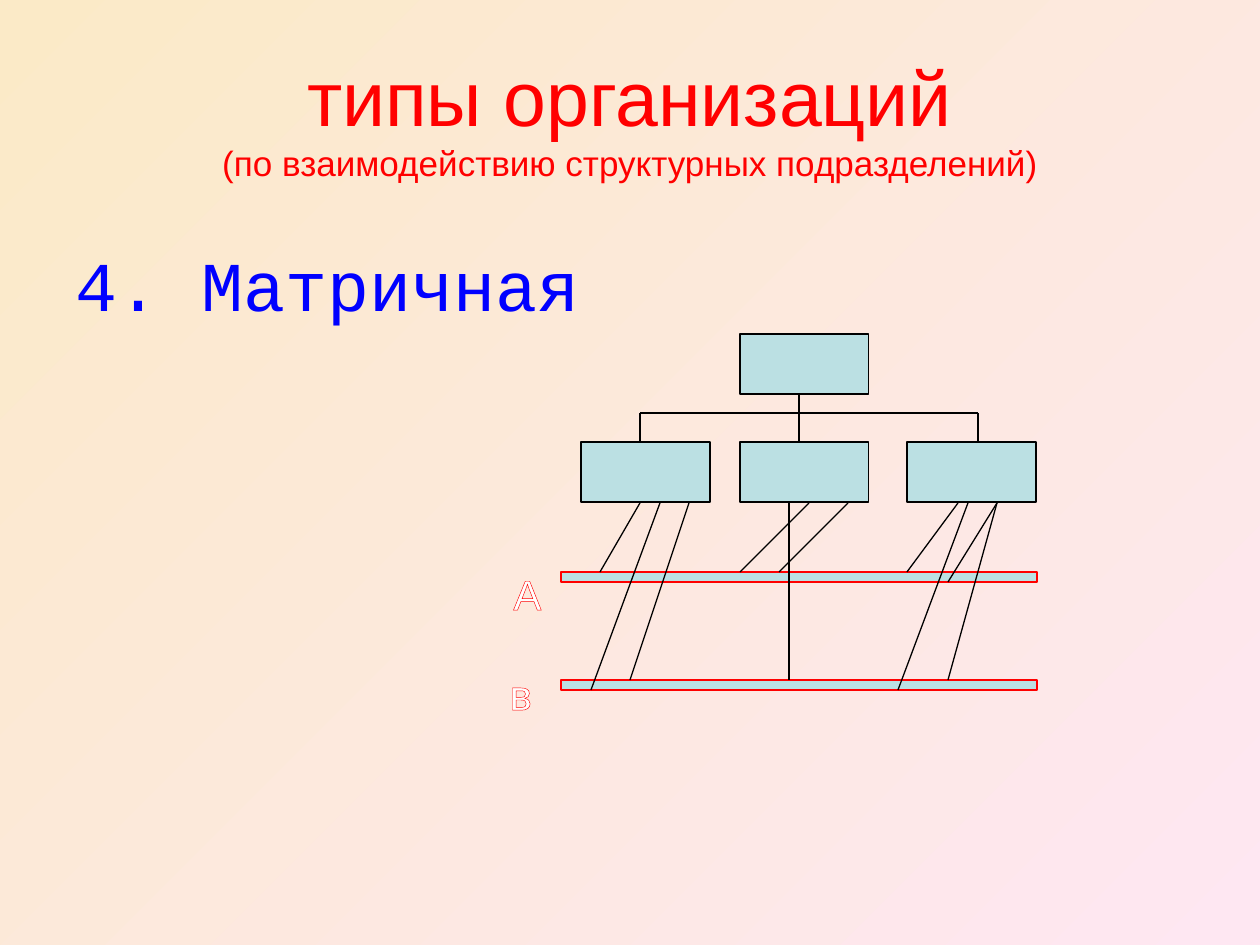
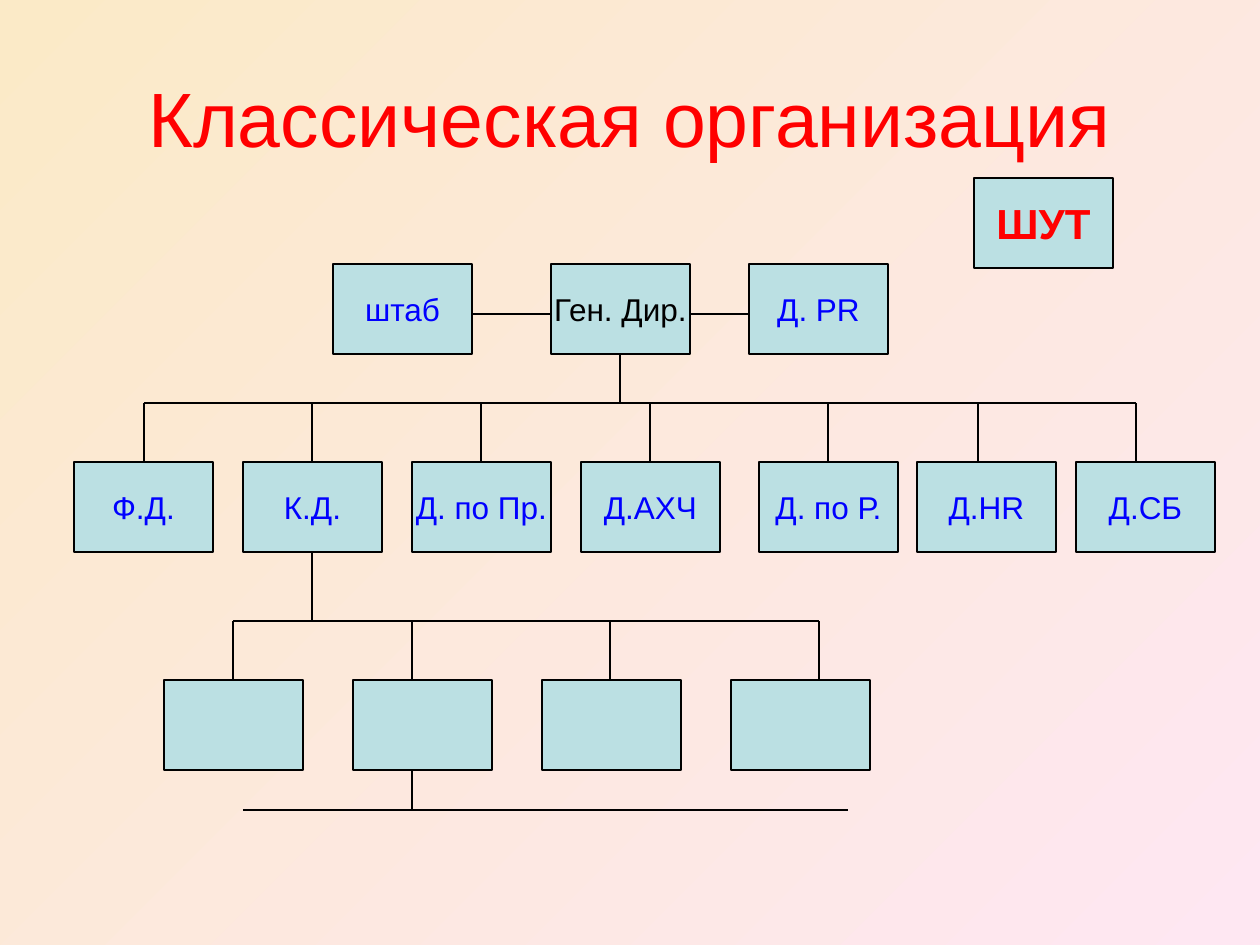
from dataclasses import dataclass
from typing import Optional

from lxml.etree import SubElement
from pptx import Presentation
from pptx.dml.color import RGBColor as Rgb
from pptx.enum.shapes import MSO_CONNECTOR as Connector, MSO_SHAPE as Shape
from pptx.enum.text import MSO_ANCHOR as Anchor, MSO_AUTO_SIZE as AutoSize, PP_ALIGN as Align
from pptx.oxml.ns import qn
from pptx.util import Emu, Pt

EMU_PER_PX = 914400 / 126


@dataclass(frozen=True)
class Theme:
    sky_start: str = "FBEAC7"
    sky_end: str = "FEE7F2"
    box: str = "BBE0E3"
    red: str = "FF0000"
    blue: str = "0000FF"
    black: str = "000000"
    white: str = "FFFFFF"
    sans: str = "Arial"
    mono: str = "Courier New"
    title: int = 44
    subtitle: int = 20
    heading: int = 40
    accent: int = 24
    label: int = 18
    thin: float = 0.75
    bar: float = 1.5


THEME = Theme()


@dataclass(frozen=True)
class Box:
    left: int
    top: int
    width: int
    height: int
    text: str = ""
    color: str = THEME.blue
    size: int = THEME.label
    bold: bool = False
    edge: str = THEME.black
    edge_width: float = THEME.thin


@dataclass(frozen=True)
class Link:
    x1: int
    y1: int
    x2: int
    y2: int


@dataclass(frozen=True)
class Branch:
    stem: int
    top: int
    bus: int
    bottom: int
    drops: tuple[int, ...]


@dataclass(frozen=True)
class Project:
    letter: str
    letter_top: int
    letter_width: int
    outline: float
    bar_top: int
    links: tuple[Link, ...]


def px(value: int) -> Emu:
    return Emu(round(value * EMU_PER_PX))


def write(frame, text: str, *, size: int, color: str, font: str = THEME.sans,
          bold: bool = False, align: Align = Align.LEFT, anchor: Anchor = Anchor.TOP,
          wrap: bool = True, outline: Optional[float] = None, break_before: bool = False) -> None:
    frame.word_wrap = wrap
    frame.auto_size = AutoSize.NONE
    frame.vertical_anchor = anchor
    paragraph = frame.paragraphs[0]
    paragraph.alignment = align
    if break_before:
        paragraph.add_line_break()
    run = paragraph.add_run()
    run.text = text
    run.font.name = font
    run.font.size = Pt(size)
    run.font.bold = bold
    if outline:
        edge = SubElement(run.font._element, qn("a:ln"), w=str(Pt(outline)))
        fill = SubElement(edge, qn("a:solidFill"))
        SubElement(fill, qn("a:srgbClr"), val=THEME.red)
    run.font.color.rgb = Rgb.from_string(color)


def draw_box(slide, box: Box) -> None:
    rect = slide.shapes.add_shape(Shape.RECTANGLE, *map(px, (box.left, box.top, box.width, box.height)))
    rect.shadow.inherit = False
    rect.fill.solid()
    rect.fill.fore_color.rgb = Rgb.from_string(THEME.box)
    rect.line.color.rgb = Rgb.from_string(box.edge)
    rect.line.width = Pt(box.edge_width)
    if box.text:
        write(rect.text_frame, box.text, size=box.size, color=box.color, bold=box.bold,
              align=Align.CENTER, anchor=Anchor.MIDDLE, wrap=False)


def draw_link(slide, link: Link) -> None:
    line = slide.shapes.add_connector(Connector.STRAIGHT, *map(px, (link.x1, link.y1, link.x2, link.y2)))
    line.line.color.rgb = Rgb.from_string(THEME.black)
    line.line.width = Pt(THEME.thin)
    SubElement(line._element.spPr, qn("a:effectLst"))


def draw_branch(slide, branch: Branch) -> None:
    draw_link(slide, Link(min(branch.drops), branch.bus, max(branch.drops), branch.bus))
    draw_link(slide, Link(branch.stem, branch.top, branch.stem, branch.bus))
    for x in branch.drops:
        draw_link(slide, Link(x, branch.bus, x, branch.bottom))


def add_text(slide, left: int, top: int, width: int, height: int):
    return slide.shapes.add_textbox(*map(px, (left, top, width, height))).text_frame


def draw_project(slide, project: Project) -> None:
    letter = add_text(slide, 501, project.letter_top, project.letter_width, 48)
    write(letter, project.letter, size=THEME.accent, color=THEME.white, wrap=False, outline=project.outline)
    draw_box(slide, Box(561, project.bar_top, 476, 10, edge=THEME.red, edge_width=THEME.bar))
    for link in project.links:
        draw_link(slide, link)


def start_slide(deck, title: str, subtitle: str = ""):
    slide = deck.slides.add_slide(deck.slide_layouts[5])
    sky = slide.background.fill
    sky.gradient()
    sky.gradient_angle = 315
    for stop, color, position in zip(sky.gradient_stops, (THEME.sky_start, THEME.sky_end), (0, 1)):
        stop.color.rgb = Rgb.from_string(color)
        stop.position = position
    heading = slide.shapes.title
    heading.left, heading.top, heading.width, heading.height = map(px, (63, 38, 1134, 157))
    centred = dict(color=THEME.red, align=Align.CENTER, anchor=Anchor.MIDDLE)
    write(heading.text_frame, title, size=THEME.title, **centred)
    if subtitle:
        write(heading.text_frame, subtitle, size=THEME.subtitle, break_before=True, **centred)
    return slide


def build_matrix(deck) -> None:
    slide = start_slide(deck, "типы организаций", "(по взаимодействию структурных подразделений)")
    kind = add_text(slide, 63, 220, 1134, 624)
    kind.margin_top = px(22)
    write(kind, "4. Матричная", size=THEME.heading, color=THEME.blue, font=THEME.mono)

    for left, top in ((740, 334), (581, 442), (740, 442), (907, 442)):
        draw_box(slide, Box(left, top, 129, 60))
    draw_branch(slide, Branch(799, 393, 413, 442, (640, 799, 978)))

    unit_foot = 503
    projects = (
        Project("А", 562, 28, 2, 572, tuple(
            Link(start, unit_foot, end, y) for start, end, y in
            ((640, 600, 572), (809, 740, 572), (848, 779, 572), (958, 907, 572), (997, 948, 582)))),
        Project("в", 662, 21, 2.25, 680, tuple(
            Link(start, unit_foot, end, y) for start, end, y in
            ((660, 591, 690), (689, 630, 680), (789, 789, 680), (968, 898, 690), (997, 948, 680)))),
    )
    for project in projects:
        draw_project(slide, project)


def build_classic(deck) -> None:
    slide = start_slide(deck, "Классическая организация")
    width, height = 139, 90
    head_top, director_top, staff_top = 264, 462, 680

    draw_box(slide, Box(551, head_top, width, height, "Ген. Дир.", THEME.black))
    for left, name in ((333, "штаб"), (749, "Д. PR")):
        draw_box(slide, Box(left, head_top, width, height, name))
    directors = ((74, "Ф.Д."), (243, "К.Д."), (412, "Д. по Пр."), (581, "Д.АХЧ"),
                 (759, "Д. по Р."), (917, "Д.HR"), (1076, "Д.СБ"))
    for left, name in directors:
        draw_box(slide, Box(left, director_top, width, height, name))
    for column in range(4):
        draw_box(slide, Box(164 + 189 * column, staff_top, width, height))

    for start, end in ((551, 472), (690, 749)):
        draw_link(slide, Link(start, 314, end, 314))
    draw_branch(slide, Branch(620, head_top + height, 403, director_top,
                              (144, 312, 481, 650, 828, 978, 1136)))
    draw_branch(slide, Branch(312, director_top + height, 621, staff_top, (233, 412, 610, 819)))
    draw_link(slide, Link(243, 810, 848, 810))
    draw_link(slide, Link(412, staff_top + height, 412, 810))
    draw_box(slide, Box(974, 178, width, height, "ШУТ", THEME.red, THEME.accent, True))


def main() -> None:
    deck = Presentation()
    deck.slide_width, deck.slide_height = px(1260), px(945)
    build_matrix(deck)
    build_classic(deck)
    deck.save("out.pptx")


if __name__ == "__main__":
    main()
